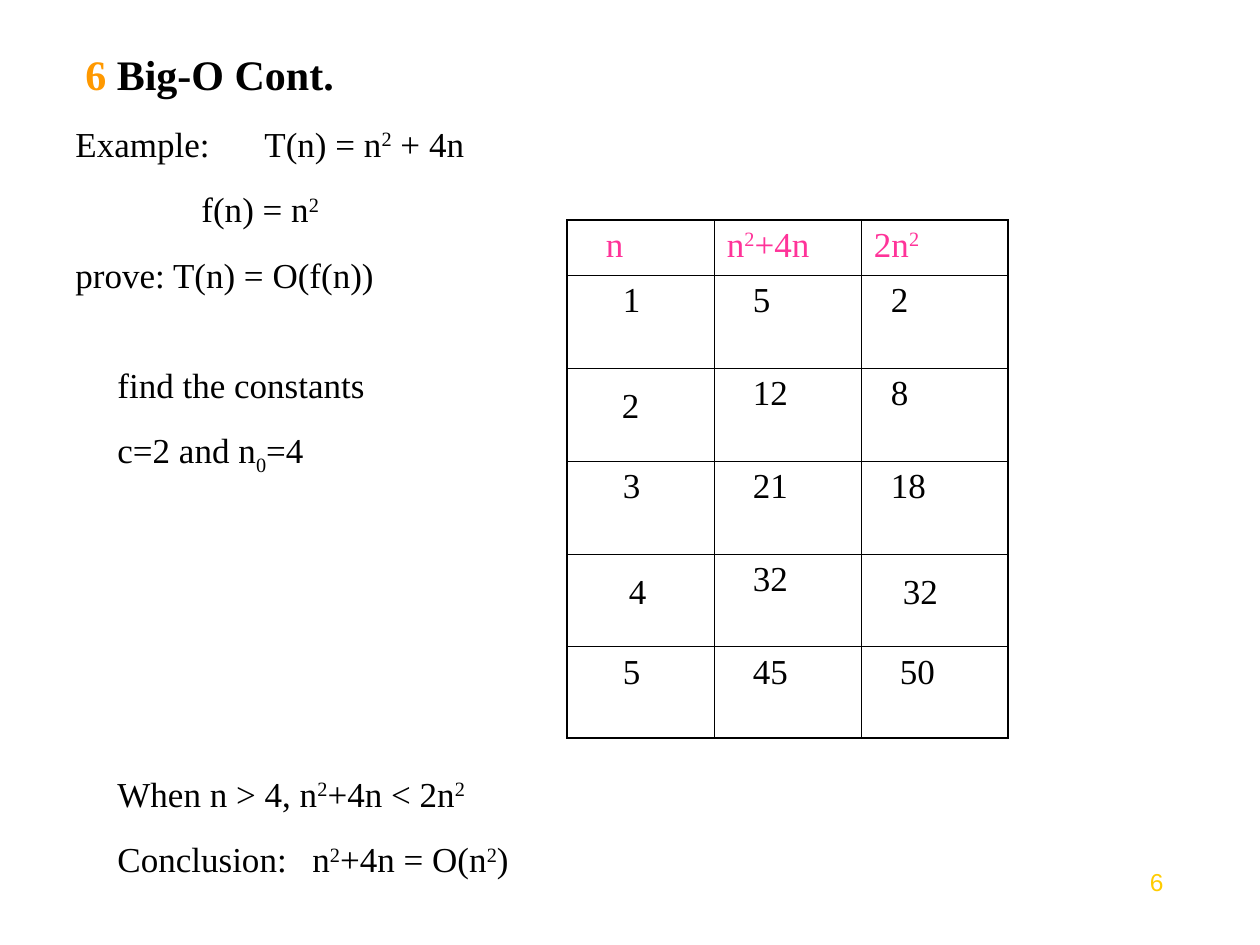
from lxml.etree import SubElement
from pptx import Presentation
from pptx.dml.color import RGBColor
from pptx.enum.text import MSO_ANCHOR, PP_ALIGN
from pptx.oxml.ns import qn
from pptx.util import Pt

PX = 914400 // 126
SERIF = "Times New Roman"
COLORS = {"ink": "000000", "head": "FF3399", "lead": "FF9900", "page": "FFCC00"}
SQ = ("2", 30)    # raised two
SUB = ("0", -25)  # lowered zero


def px(n):
    return n * PX


def add_run(para, part, color="ink", size=20, bold=False, face=SERIF):
    """Add one run; part is a string or a (text, shift in percent) pair."""
    text, shift = (part, 0) if isinstance(part, str) else part
    run = para.add_run()
    run.text = text
    font = run.font
    font.name, font.size, font.bold = face, Pt(size), bold
    font.color.rgb = RGBColor.from_string(COLORS[color])
    if shift:
        run._r.get_or_add_rPr().set("baseline", str(shift * 1000))


def add_box(slide, x, y, w, h):
    box = slide.shapes.add_textbox(px(x), px(y), px(w), px(h))
    box.text_frame.word_wrap = True
    return box.text_frame


def add_stop(para, pos):
    tabs = SubElement(para._p.get_or_add_pPr(), qn("a:tabLst"))
    SubElement(tabs, qn("a:tab"), pos=str(px(pos)), algn="l")


def add_lines(slide, x, y, w, h, lines, stop=None):
    frame = add_box(slide, x, y, w, h)
    for i, parts in enumerate(lines):
        para = frame.add_paragraph() if i else frame.paragraphs[0]
        if i:
            para.space_before = Pt(13.5)
        if stop:
            add_stop(para, stop)
        for part in parts:
            add_run(para, part)


def set_edges(cell, row, col, rows, cols):
    """Draw heavy lines on the outside of the table, thin ones inside."""
    outer = {"L": col == 0, "R": col == cols - 1,
             "T": row == 0, "B": row == rows - 1}
    props = cell._tc.get_or_add_tcPr()
    for side, heavy in outer.items():
        width = Pt(1.08 if heavy else 0.45)
        line = SubElement(props, qn(f"a:ln{side}"), w=str(int(width)))
        fill = SubElement(line, qn("a:solidFill"))
        SubElement(fill, qn("a:srgbClr"), val=COLORS["ink"])


def add_grid(slide, x, y, wide, highs, data, insets, drops):
    rows, cols = len(data), len(data[0])
    table = slide.shapes.add_table(
        rows, cols, px(x), px(y), px(wide * cols), px(sum(highs))).table
    table.first_row = table.horz_banding = False
    for col in table.columns:
        col.width = px(wide)
    for r, line in enumerate(data):
        table.rows[r].height = px(highs[r])
        for c, parts in enumerate(line):
            cell = table.cell(r, c)
            set_edges(cell, r, c, rows, cols)
            cell.fill.background()
            cell.margin_left = px(insets[r][c])
            cell.margin_top = px(19 if (r, c) in drops else 6)
            for part in parts:
                add_run(cell.text_frame.paragraphs[0], part,
                        "ink" if r else "head")


def main():
    deck = Presentation()
    deck.slide_width, deck.slide_height = px(1260), px(945)
    slide = deck.slides.add_slide(deck.slide_layouts[6])

    # Page number
    para = add_box(slide, 1092, 861, 84, 66).paragraphs[0]
    para.alignment = PP_ALIGN.RIGHT
    add_run(para, "6", "page", 14, face="Arial")

    # Title
    frame = add_box(slide, 73, 42, 1071, 63)
    frame.vertical_anchor = MSO_ANCHOR.MIDDLE
    add_run(frame.paragraphs[0], "6", "lead", 24, True)
    add_run(frame.paragraphs[0], " Big-O Cont.", "ink", 24, True)

    # Example
    add_lines(slide, 63, 116, 1092, 183, [
        ["Example:\tT(n) = n", SQ, " + 4n"],
        ["\t\tf(n) = n", SQ],
        ["prove: T(n) = O(f(n))"]])

    # Table of values
    sums = [[[str(n)], [str(n * n + 4 * n)], [str(2 * n * n)]]
            for n in range(1, 6)]
    heads = [["n"], ["n", SQ, "+4n"], ["2n", SQ]]
    insets = [(39, 13, 13), (56, 39, 30), (55, 39, 30),
              (56, 39, 30), (62, 39, 42), (56, 39, 39)]
    add_grid(slide, 567, 220, 147, [55, 93, 93, 93, 93, 91],
             [heads] + sums, insets, {(2, 0), (4, 0), (4, 2)})

    # Constants and conclusion
    add_lines(slide, 105, 357, 336, 125, [
        ["find the constants"], ["c=2 and n", SUB, "=4"]])
    add_lines(slide, 105, 766, 966, 118, [
        ["When n > 4, n", SQ, "+4n < 2n", SQ],
        ["Conclusion:\tn", SQ, "+4n = O(n", SQ, ")"]], stop=195)

    deck.save("out.pptx")


if __name__ == "__main__":
    main()
